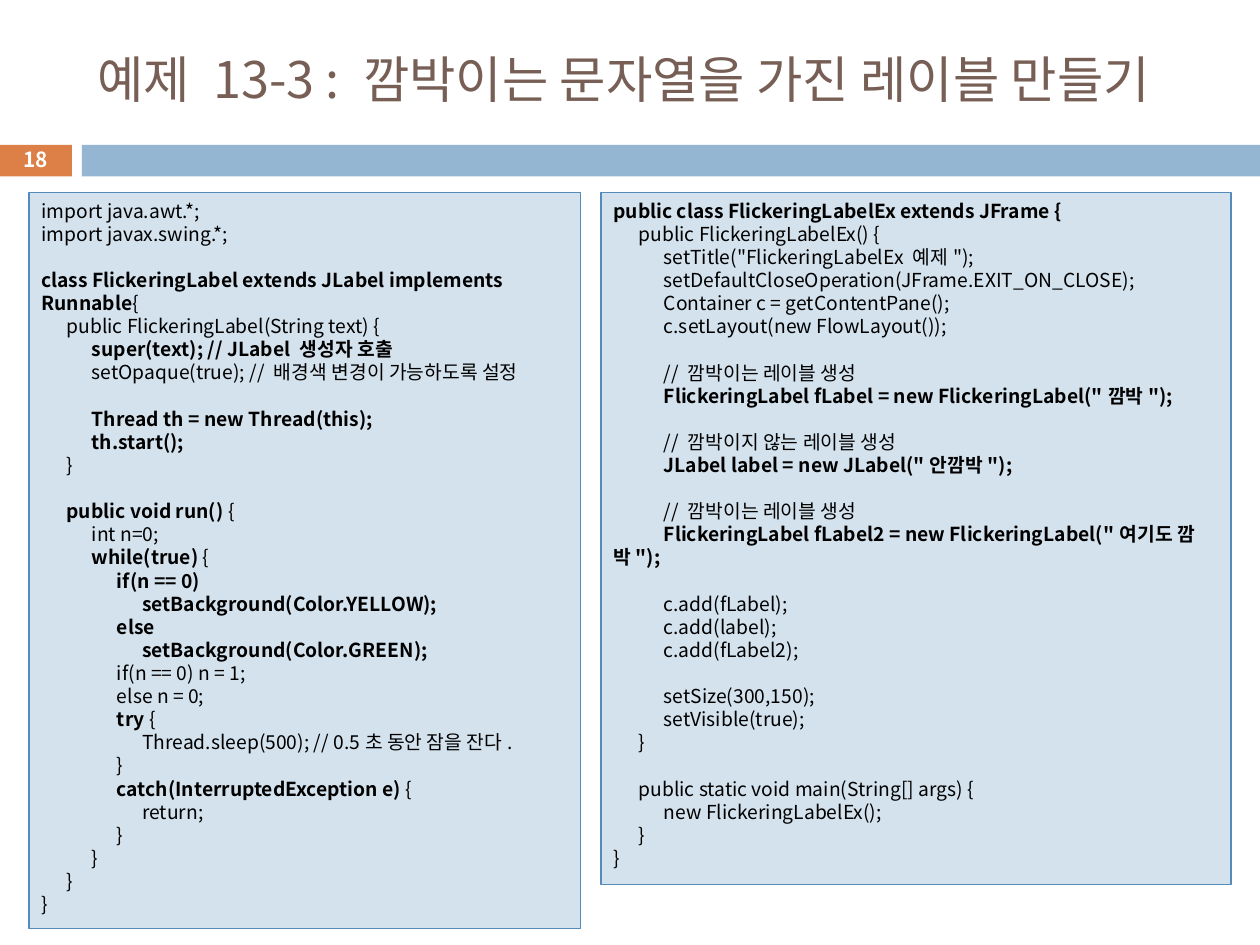
from lxml.etree import SubElement
from pptx import Presentation
from pptx.dml.color import RGBColor
from pptx.enum.shapes import MSO_SHAPE
from pptx.enum.text import MSO_ANCHOR, MSO_AUTO_SIZE, PP_ALIGN
from pptx.oxml.ns import qn
from pptx.util import Inches, Pt

COLORS = {
    "title": "775F55",
    "accent": "DD8047",
    "band": "94B6D2",
    "panel": "D4E2ED",
    "edge": "558BB8",
    "code": "000000",
    "number": "FFFFFF",
}
FONT = "Noto Sans CJK KR"
COLS, ROWS = 100, 75
CODE_SIZE, LINE_PITCH, TAB = 11, 13.2, 0.2

# Bold code stands between double asterisks; indents are tabs.
LABEL_CODE = """\
import java.awt.*;
import javax.swing.*;

**class FlickeringLabel extends JLabel implements Runnable**{
	public FlickeringLabel(String text) {
		**super(text); // JLabel 생성자 호출**
		setOpaque(true); // 배경색 변경이 가능하도록 설정

		**Thread th = new Thread(this);**
		**th.start();**
	}

	**public void run() **{
		int n=0;
		**while(true)** {
			**if(n == 0)**
				**setBackground(Color.YELLOW);**
			**else**
				**setBackground(Color.GREEN);**
			if(n == 0) n = 1;
			else n = 0;
			**try** {
				Thread.sleep(500); // 0.5초 동안 잠을 잔다.
			}
			**catch(InterruptedException e)** {
				return;
			}
		}
	}
}"""

FRAME_CODE = """\
**public class FlickeringLabelEx extends JFrame {**
	public FlickeringLabelEx() {
		setTitle("FlickeringLabelEx 예제");
		setDefaultCloseOperation(JFrame.EXIT_ON_CLOSE);
		Container c = getContentPane();
		c.setLayout(new FlowLayout());

		// 깜박이는 레이블 생성
		**FlickeringLabel fLabel = new FlickeringLabel("깜박");**

		// 깜박이지 않는 레이블 생성
		**JLabel label = new JLabel("안깜박");**

		// 깜박이는 레이블 생성
		**FlickeringLabel fLabel2 = new FlickeringLabel("여기도 깜박");**

		c.add(fLabel);
		c.add(label);
		c.add(fLabel2);

		setSize(300,150);
		setVisible(true);
	}

	public static void main(String[] args) {
		new FlickeringLabelEx();
	}
}"""


def add_text(p, text, size, color, bold=False, align=PP_ALIGN.LEFT):
    p.alignment = align
    r = p.add_run()
    r.text = text
    r.font.size = Pt(size)
    r.font.bold = bold
    r.font.name = FONT
    r.font.color.rgb = RGBColor.from_string(COLORS[color])
    SubElement(r.font._element, qn("a:ea"), typeface=FONT)


def set_tabs(p, count=4):
    tabs = SubElement(p._p.get_or_add_pPr(), qn("a:tabLst"))
    for i in range(1, count + 1):
        SubElement(tabs, qn("a:tab"), pos=str(Inches(TAB * i)), algn="l")


class SlideBuilder:
    """Draws on one slide; boxes are (column, row, columns, rows)."""

    def __init__(self, prs):
        self.prs = prs
        self.s = prs.slides.add_slide(prs.slide_layouts[5])

    def place(self, box):
        w, h = self.prs.slide_width / COLS, self.prs.slide_height / ROWS
        return [int(n * unit) for n, unit in zip(box, (w, h, w, h))]

    def title(self, text, box):
        sp = self.s.shapes.title
        sp.left, sp.top, sp.width, sp.height = self.place(box)
        tf = sp.text_frame
        tf.auto_size = MSO_AUTO_SIZE.NONE
        tf.vertical_anchor = MSO_ANCHOR.MIDDLE
        add_text(tf.paragraphs[0], text, 28.8, "title")

    def rect(self, box, fill, line=None):
        sp = self.s.shapes.add_shape(MSO_SHAPE.RECTANGLE, *self.place(box))
        sp.shadow.inherit = False
        sp.fill.solid()
        sp.fill.fore_color.rgb = RGBColor.from_string(COLORS[fill])
        if line:
            sp.line.color.rgb = RGBColor.from_string(COLORS[line])
            sp.line.width = Pt(0.75)
        else:
            sp.line.fill.background()
        return sp

    def code(self, source, box):
        tf = self.rect(box, "panel", "edge").text_frame
        tf.word_wrap = True
        tf.vertical_anchor = MSO_ANCHOR.TOP
        p, gap = tf.paragraphs[0], 0
        for i, line in enumerate(source.split("\n")):
            if not line:
                gap = LINE_PITCH
                continue
            if i:
                p = tf.add_paragraph()
            p.line_spacing = Pt(LINE_PITCH)
            p.space_before = Pt(gap)
            set_tabs(p)
            for j, part in enumerate(line.split("**")):
                if part:
                    add_text(p, part, CODE_SIZE, "code", bold=j % 2 == 1)
            gap = 0

    def number(self, text, box):
        tf = self.s.shapes.add_textbox(*self.place(box)).text_frame
        tf.word_wrap = True
        tf.vertical_anchor = MSO_ANCHOR.MIDDLE
        tf.margin_top = tf.margin_bottom = 0
        add_text(tf.paragraphs[0], text, 11.9, "number", bold=True,
                 align=PP_ALIGN.CENTER)


def main():
    prs = Presentation()
    prs.slide_width, prs.slide_height = Inches(10), Inches(7.5)
    b = SlideBuilder(prs)
    b.rect((-0.1, 11.5, 5.8, 2.5), "accent")
    b.rect((6.5, 11.5, 93.5, 2.5), "band")
    b.title("예제 13-3 : 깜박이는 문자열을 가진 레이블 만들기", (6.7, 2.5, 89.2, 7.4))
    b.code(LABEL_CODE, (2.3, 15.3, 43.8, 58.4))
    b.code(FRAME_CODE, (47.7, 15.3, 50, 54.9))
    b.number("18", (-0.1, 11.3, 5.8, 2.7))
    prs.save("out.pptx")


if __name__ == "__main__":
    main()
